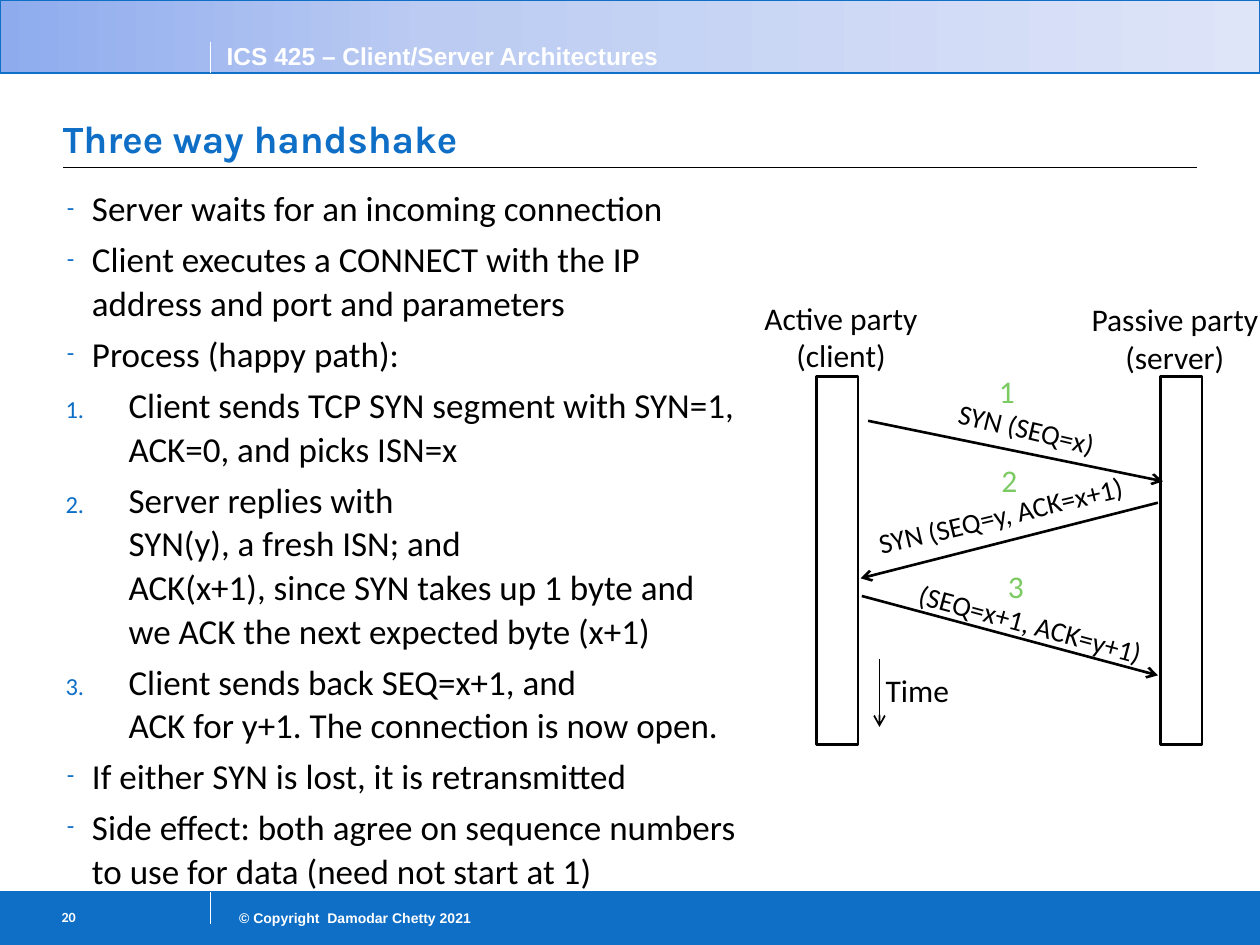
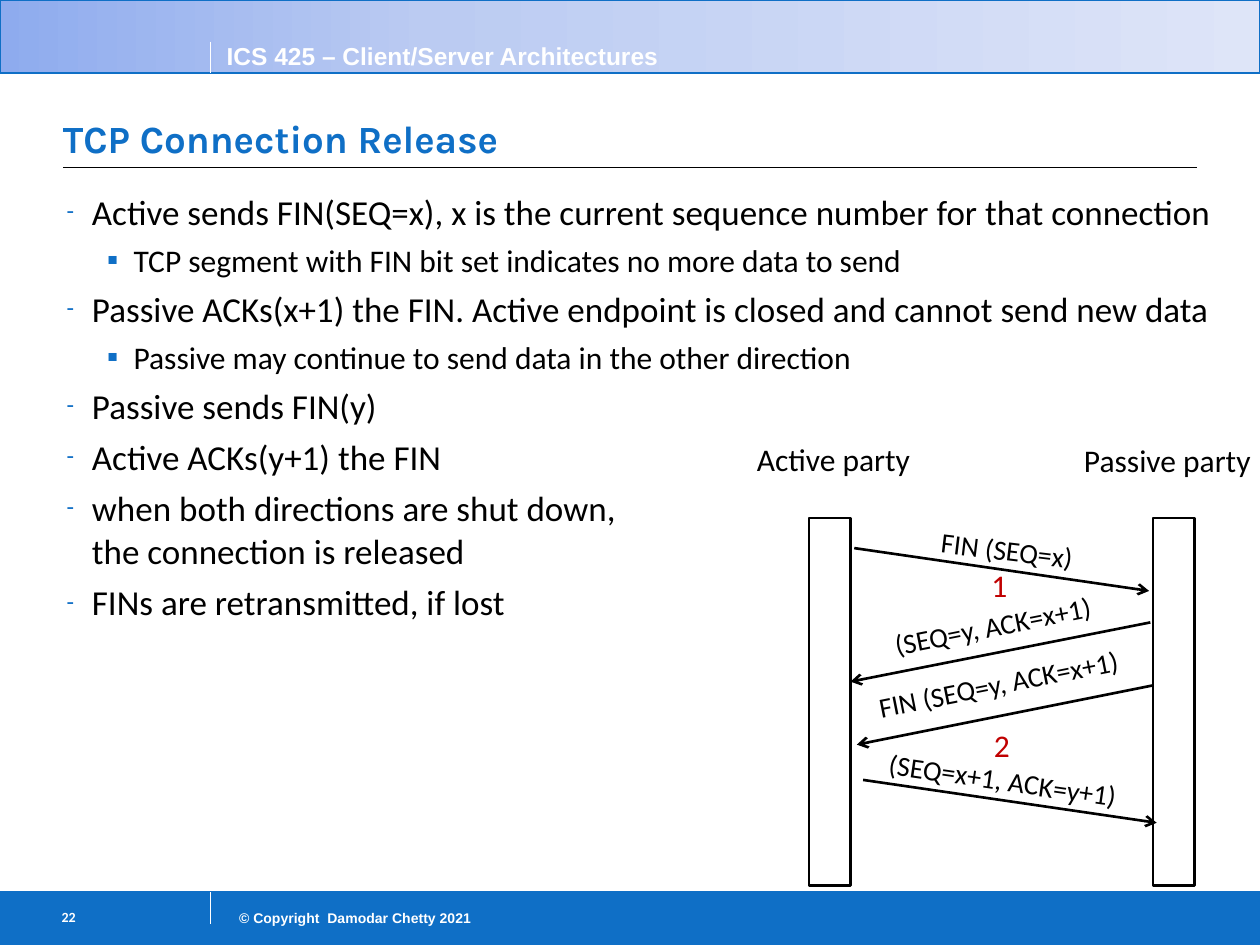
import copy

import pptx
import pptx.dml.color
import pptx.enum.shapes
import pptx.enum.text
import pptx.oxml.ns
import pptx.util
from lxml import etree

# The grid has 10 columns and 7.5 rows; every position is given in these units.
COLS, ROWS = 10, 7.5
WIDTH, HEIGHT = pptx.util.Inches(10), pptx.util.Inches(7.5)
BLUE, WHITE, BLACK, GREEN, RED = "0F6FC6", "FFFFFF", "000000", "7CCA62", "C00000"
BAND_STOPS = [(0, "8EABEE"), (0.34, "BBCBF2"), (1, "DEE5F8")]
HEADER_BOTTOM, FOOTER_TOP, DIVIDER = 0.58, 7.08, 1.67
BAR_WIDTH, BAR_HEIGHT, BAR_GAP = 0.33, 2.92, 2.73

RECT = pptx.enum.shapes.MSO_SHAPE.RECTANGLE
LEFT, CENTER, RIGHT = (pptx.enum.text.PP_ALIGN.LEFT, pptx.enum.text.PP_ALIGN.CENTER,
                       pptx.enum.text.PP_ALIGN.RIGHT)
TOP, BOTTOM = pptx.enum.text.MSO_ANCHOR.TOP, pptx.enum.text.MSO_ANCHOR.BOTTOM

# Bullet kinds: left margin, hanging indent, text size, bullet size in percent, mark
BULLETS = {
    "dash": (0.51, 0.2, 20, 70, "-"),
    "step": (0.8, 0.5, 20, 70, None),
    "square": (0.84, 0.21, 18, 100, "▪"),
}

HANDSHAKE_POINTS = [
    ("dash", "Server waits for an incoming connection"),
    ("dash", "Client executes a CONNECT with the IP address and port and parameters"),
    ("dash", "Process (happy path):"),
    ("step", "Client sends TCP SYN segment with SYN=1, ACK=0, and picks ISN=x"),
    ("step", "Server replies with\nSYN(y), a fresh ISN; and\nACK(x+1), since SYN takes up "
             "1 byte and we ACK the next expected byte (x+1)"),
    ("step", "Client sends back SEQ=x+1, and\nACK for y+1. The connection is now open."),
    ("dash", "If either SYN is lost, it is retransmitted"),
    ("dash", "Side effect: both agree on sequence numbers to use for data "
             "(need not start at 1)"),
]
RELEASE_POINTS = [
    ("dash", "Active sends FIN(SEQ=x), x is the current sequence number for that connection"),
    ("square", "TCP segment with FIN bit set indicates no more data to send"),
    ("dash", "Passive ACKs(x+1) the FIN. Active endpoint is closed and cannot send new data"),
    ("square", "Passive may continue to send data in the other direction"),
    ("dash", "Passive sends FIN(y)"),
    ("dash", "Active ACKs(y+1) the FIN"),
    ("dash", "when both directions are shut down,\nthe connection is released"),
    ("dash", "FINs are retransmitted, if lost"),
]

# Messages: text, label box, label rotation, arrow start, arrow end
HANDSHAKE_MESSAGES = [
    ("SYN (SEQ=x)", (7.5, 3.22, 1.31, 0.37), 13.4, (6.89, 3.34), (9.23, 3.82)),
    ("SYN (SEQ=y, ACK=x+1)", (6.85, 3.9, 2.21, 0.37), 346.5, (9.19, 3.99), (6.83, 4.59)),
    ("(SEQ=x+1, ACK=y+1)", (7.17, 4.77, 2.05, 0.37), 15.1, (6.84, 4.73), (9.19, 5.36)),
]
RELEASE_MESSAGES = [
    ("FIN (SEQ=x)", (7.37, 4.18, 1.26, 0.37), 6.8, (6.78, 4.35), (9.12, 4.69)),
    ("(SEQ=y, ACK=x+1)", (6.99, 4.78, 1.8, 0.37), 348.7, (9.13, 4.94), (6.75, 5.41)),
    ("FIN (SEQ=y, ACK=x+1)", (6.86, 5.24, 2.16, 0.37), 348.7, (9.15, 5.44), (6.8, 5.91)),
    ("(SEQ=x+1, ACK=y+1)", (6.95, 6.01, 2.05, 0.37), 8.3, (6.85, 6.19), (9.18, 6.53)),
]


def color(hex_value):
    return pptx.dml.color.RGBColor.from_string(hex_value)


def x(cols):
    return round(WIDTH * cols / COLS)


def y(rows):
    return round(HEIGHT * rows / ROWS)


def area(box):
    left, top, width, height = box
    return x(left), y(top), x(width), y(height)


def add_xml(parent, tag, **attributes):
    return etree.SubElement(parent, pptx.oxml.ns.qn(tag), attributes)


def write(p, text, size=18, font="Calibri", fill=BLACK, bold=False, align=LEFT):
    """Fill a paragraph; each newline becomes a line break."""
    p.alignment = align
    for i, line in enumerate(text.split("\n")):
        if i:
            p.add_line_break()
        r = p.add_run()
        r.text = line
        r.font.size = pptx.util.Pt(size)
        r.font.name = font
        r.font.bold = bold
        r.font.color.rgb = color(fill)


def set_frame(tf, insets, anchor=TOP, wrap=True):
    tf.word_wrap = wrap
    tf.vertical_anchor = anchor
    tf.margin_left, tf.margin_top, tf.margin_right, tf.margin_bottom = (
        x(inset) for inset in insets)


def add_text(slide, box, text, insets=(0.1, 0.05, 0.1, 0.05), anchor=TOP, wrap=True,
             rotation=0, **style):
    sp = slide.shapes.add_textbox(*area(box))
    sp.rotation = rotation
    set_frame(sp.text_frame, insets, anchor, wrap)
    write(sp.text_frame.paragraphs[0], text, **style)


def add_rect(slide, box, fill=None, line=None, weight=0.75):
    sp = slide.shapes.add_shape(RECT, *area(box))
    sp.shadow.inherit = False
    if fill:
        sp.fill.solid()
        sp.fill.fore_color.rgb = color(fill)
    else:
        sp.fill.background()
    if line:
        sp.line.color.rgb = color(line)
        sp.line.width = pptx.util.Pt(weight)
    else:
        sp.line.fill.background()
    return sp


def add_line(slide, start, end, fill=BLACK, weight=0.75, arrow=False):
    line = slide.shapes.add_connector(pptx.enum.shapes.MSO_CONNECTOR.STRAIGHT,
                                      x(start[0]), y(start[1]), x(end[0]), y(end[1]))
    line.line.color.rgb = color(fill)
    line.line.width = pptx.util.Pt(weight)
    if arrow:
        add_xml(line.line._get_or_add_ln(), "a:tailEnd", type="arrow")
    add_xml(line._element.spPr, "a:effectLst")


def shade_band(band):
    band.fill.gradient()
    band.fill.gradient_angle = 0
    first = band._element.spPr.find(".//" + pptx.oxml.ns.qn("a:gs"))
    first.addnext(copy.deepcopy(first))
    for stop, (position, shade) in zip(band.fill.gradient_stops, BAND_STOPS):
        stop.position = position
        stop.color.rgb = color(shade)


def add_bullets(slide, box, points):
    tf = slide.shapes.add_textbox(*area(box)).text_frame
    set_frame(tf, (0.05,) * 4)
    for i, (kind, text) in enumerate(points):
        margin, hang, size, percent, mark = BULLETS[kind]
        p = tf.add_paragraph() if i else tf.paragraphs[0]
        p.line_spacing = 1.04
        p.space_before = pptx.util.Pt(0.21 * size if i else 0)
        pPr = p._p.get_or_add_pPr()
        pPr.set("marL", str(x(margin)))
        pPr.set("indent", str(-x(hang)))
        add_xml(add_xml(pPr, "a:buClr"), "a:srgbClr", val=BLUE)
        add_xml(pPr, "a:buSzPct", val=str(percent * 1000))
        if mark:
            add_xml(pPr, "a:buFont", typeface="Calibri")
            add_xml(pPr, "a:buChar", char=mark)
        else:
            add_xml(pPr, "a:buAutoNum", type="arabicPeriod")
        write(p, text, size)


def add_party(slide, center, top, width, lines):
    sp = add_rect(slide, (center - width / 2, top, width, 0.305 * len(lines)), WHITE)
    tf = sp.text_frame
    set_frame(tf, (0,) * 4, wrap=False)
    for i, line in enumerate(lines):
        write(tf.add_paragraph() if i else tf.paragraphs[0], line, align=CENTER)


def add_sequence(slide, left, top, parties, messages, numbers, number_color):
    """Draw two lifelines with their headings, the messages and the step numbers."""
    for i, (lines, width, shift) in enumerate(zip(parties, (1.23, 1.33), (0.03, -0.05))):
        bar = left + i * BAR_GAP
        add_party(slide, bar + BAR_WIDTH / 2 + shift, top - 0.62 + 0.01 * i, width, lines)
        add_rect(slide, (bar, top, BAR_WIDTH, BAR_HEIGHT), line=BLACK, weight=1.5)
    for i, (number_left, number_top) in enumerate(numbers, 1):
        add_text(slide, (number_left, number_top, 0.33, 0.4), str(i), wrap=False,
                 fill=number_color)
    for text, box, rotation, start, end in messages:
        add_text(slide, box, text, wrap=False, rotation=rotation, size=16)
        add_line(slide, start, end, weight=1.5, arrow=True)


def add_slide(prs, title, number):
    """Add a slide with the shared bands, rules, footer and title."""
    slide = prs.slides.add_slide(prs.slide_layouts[6])
    add_rect(slide, (0, FOOTER_TOP, COLS, ROWS - FOOTER_TOP), BLUE, BLUE)
    shade_band(add_rect(slide, (0, 0, COLS, HEADER_BOTTOM), WHITE, BLUE))
    add_text(slide, (DIVIDER, 7.17, 2.17, 0.24), "© Copyright  Damodar Chetty 2021",
             size=8, font="Arial", fill=WHITE, bold=True, align=RIGHT)
    for edge, tick in ((HEADER_BOTTOM, -0.25), (FOOTER_TOP, 0.25)):
        add_line(slide, (0, edge), (COLS, edge), BLUE, 0.5)
        add_line(slide, (DIVIDER, edge + tick), (DIVIDER, edge), WHITE)
    add_line(slide, (0.5, 1.33), (9.5, 1.33))
    add_text(slide, (1.7, 0.28, 4.05, 0.34), "ICS 425 – Client/Server Architectures",
             size=14, font="Arial", fill=WHITE, bold=True)
    add_text(slide, (0.5, 0.61, 9, 0.72), title, insets=(0, 0.05, 0, 0.05), anchor=BOTTOM,
             size=22, font="Karla", fill=BLUE, bold=True)
    add_text(slide, (0.33, 7.14, 1.33, 0.35), str(number), insets=(0.16, 0.07, 0.1, 0.05),
             size=8, fill=WHITE, bold=True)
    return slide


def main():
    prs = pptx.Presentation()
    prs.slide_width, prs.slide_height = WIDTH, HEIGHT

    slide = add_slide(prs, "Three way handshake", 20)
    add_bullets(slide, (0.17, 1.42, 5.79, 5.39), HANDSHAKE_POINTS)
    add_sequence(slide, 6.48, 2.99,
                 [("Active party", "(client)"), ("Passive party", "(server)")],
                 HANDSHAKE_MESSAGES, [(7.83, 2.9), (7.85, 3.61), (7.9, 4.45)], GREEN)
    add_line(slide, (6.98, 5.23), (6.98, 5.77), weight=1, arrow=True)
    add_text(slide, (6.93, 5.28, 0.71, 0.4), "Time", wrap=False)

    slide = add_slide(prs, "TCP Connection Release", 22)
    add_bullets(slide, (0.17, 1.45, 9.77, 5.39), RELEASE_POINTS)
    add_sequence(slide, 6.42, 4.11, [("Active party",), ("Passive party",)],
                 RELEASE_MESSAGES, [(7.77, 4.44), (7.79, 5.71)], RED)

    prs.save("out.pptx")


if __name__ == "__main__":
    main()
